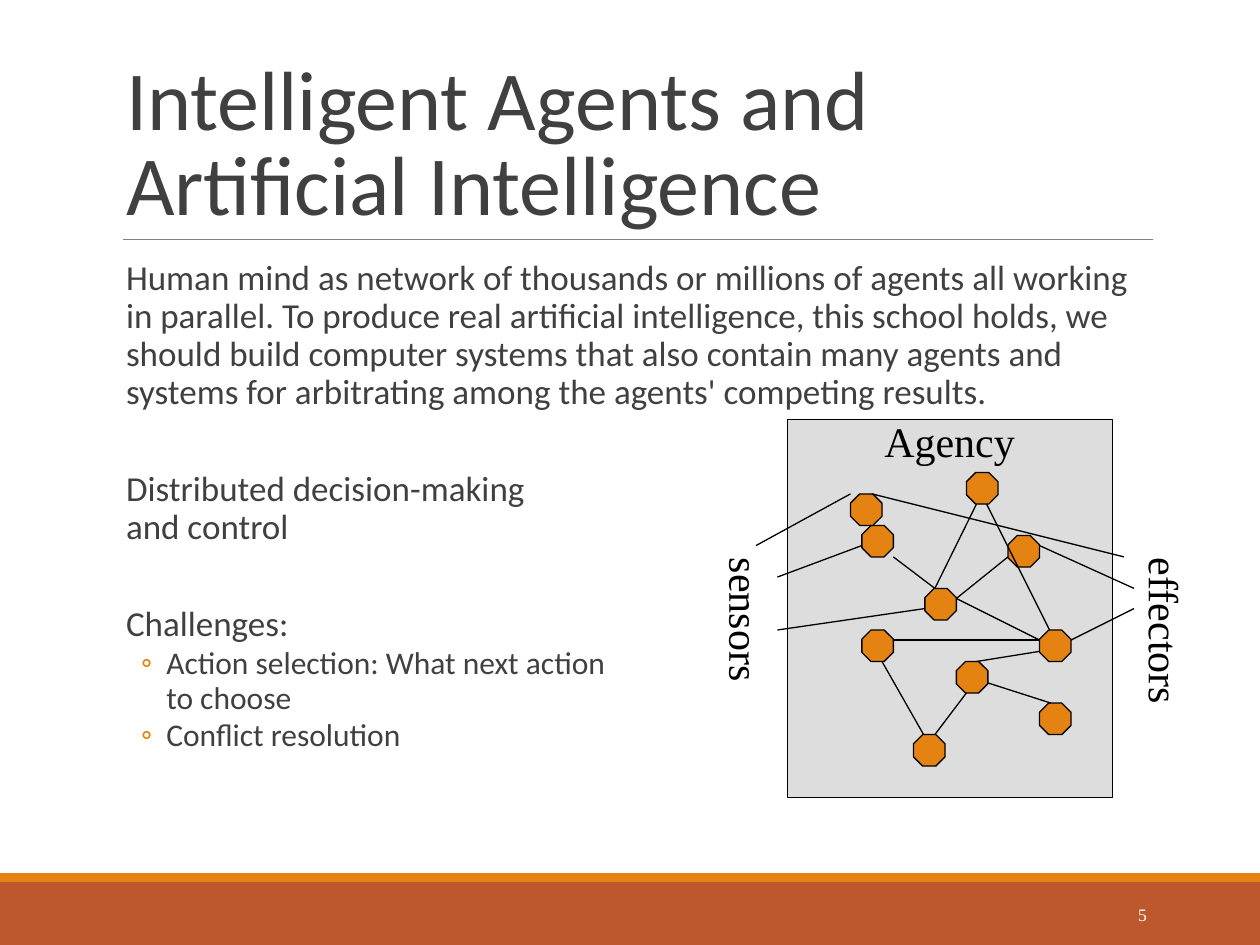
from dataclasses import dataclass

from lxml.etree import SubElement
from pptx import Presentation
from pptx.dml.color import RGBColor
from pptx.enum.shapes import MSO_CONNECTOR, MSO_SHAPE
from pptx.enum.text import MSO_ANCHOR, MSO_AUTO_SIZE, PP_ALIGN
from pptx.oxml.ns import qn
from pptx.util import Inches, Pt

COLORS = {
    "text": "404040",
    "black": "000000",
    "white": "FFFFFF",
    "panel": "DDDDDD",
    "orange": "E48312",
    "rust": "BD582C",
    "rule": "7F7F7F",
}
SANS, SERIF = "Calibri", "Times New Roman"
AGENT_SIZE = 0.25


@dataclass
class Label:
    text: str
    left: float
    top: float
    width: float
    height: float = 0.5
    rotation: int = 0
    size: int = 24
    color: str = "black"


@dataclass
class Link:
    x1: float
    y1: float
    x2: float
    y2: float


@dataclass
class BodyLine:
    text: str
    space_before: int
    size: int = 20
    bullet: bool = False


LABELS = [
    Label("sensors", 5.25, 4.75, 1.34, rotation=90),
    Label("effectors", 8.5, 4.83, 1.5, rotation=90),
    Label("Agency", 6.92, 3.25, 1.33),
]
PAGE_NUMBER = Label("5", 8.12, 7.06, 1.08, 0.4, size=10, color="white")

AGENTS = [
    (6.84, 4.17), (6.84, 5), (8, 4.25), (7.59, 5.25), (7.34, 4.67),
    (7.67, 3.75), (8.25, 5.58), (7.25, 5.83), (8.25, 5), (6.75, 3.92),
]
SENSOR_LINKS = [
    Link(6, 4.33, 6.75, 3.92),
    Link(6.17, 4.58, 6.84, 4.33),
    Link(6.17, 5, 7.34, 4.83),
]
AGENT_LINKS = [
    Link(7.09, 4.42, 7.42, 4.67),
    Link(7.75, 4, 7.42, 4.67),
    Link(7.42, 5.83, 7.67, 5.5),
    Link(7.59, 4.75, 8.25, 5.08),
    Link(7.75, 5.25, 8.25, 5.17),
    Link(7.09, 5.08, 8.25, 5.08),
    Link(7.59, 4.75, 8, 4.42),
    Link(7.83, 4, 8.33, 5),
    Link(8.34, 5.58, 7.84, 5.42),
    Link(7, 5.25, 7.33, 5.83),
]
EFFECTOR_LINKS = [
    Link(6.92, 3.92, 8.92, 4.42),
    Link(8.25, 4.33, 9, 4.67),
    Link(8.5, 5.08, 9, 4.83),
]
BODY = [
    BodyLine(
        "Human mind as network of thousands or millions of agents all working "
        "in parallel. To produce real artificial intelligence, this school holds, "
        "we should build computer systems that also contain many agents and "
        "systems for arbitrating among the agents' competing results.",
        12,
    ),
    BodyLine("Distributed decision-making \vand control", 34),
    BodyLine("Challenges:", 34),
    BodyLine("Action selection: What next action\vto choose", 2, 18, True),
    BodyLine("Conflict resolution", 2, 18, True),
]


def color(name: str) -> RGBColor:
    return RGBColor.from_string(COLORS[name])


def style_font(para, name: str, size: int, color_name: str) -> None:
    para.font.name = name
    para.font.size = Pt(size)
    para.font.color.rgb = color(color_name)


def place(shape, left: float, top: float, width: float, height: float) -> None:
    shape.left, shape.top = Inches(left), Inches(top)
    shape.width, shape.height = Inches(width), Inches(height)


def add_block(page, kind, left: float, top: float, width: float, height: float,
              fill: str, outlined: bool = False):
    shape = page.shapes.add_shape(
        kind, Inches(left), Inches(top), Inches(width), Inches(height))
    shape.shadow.inherit = False
    shape.fill.solid()
    shape.fill.fore_color.rgb = color(fill)
    if outlined:
        shape.line.color.rgb = color("black")
        shape.line.width = Pt(0.75)
    else:
        shape.line.fill.background()
    return shape


def add_link(page, link: Link, color_name: str = "black", width: float = 0.75) -> None:
    line = page.shapes.add_connector(
        MSO_CONNECTOR.STRAIGHT, Inches(link.x1), Inches(link.y1),
        Inches(link.x2), Inches(link.y2))
    line.line.color.rgb = color(color_name)
    line.line.width = Pt(width)
    SubElement(line._element.spPr, qn("a:effectLst"))


def add_label(page, label: Label):
    box = page.shapes.add_textbox(
        Inches(label.left), Inches(label.top),
        Inches(label.width), Inches(label.height))
    box.rotation = label.rotation
    box.text_frame.word_wrap = True
    para = box.text_frame.paragraphs[0]
    para.text = label.text
    style_font(para, SERIF, label.size, label.color)
    return box


def add_title(page) -> None:
    title = page.shapes.title
    place(title, 0.9, 0.31, 8.25, 1.59)
    frame = title.text_frame
    frame.text = "Intelligent Agents and Artificial Intelligence"
    frame.word_wrap = True
    frame.auto_size = MSO_AUTO_SIZE.NONE
    frame.vertical_anchor = MSO_ANCHOR.BOTTOM
    para = frame.paragraphs[0]
    para.alignment = PP_ALIGN.LEFT
    para.line_spacing = 0.85
    style_font(para, SANS, 48, "text")


def set_indent(para, bullet: bool) -> None:
    properties = para._p.get_or_add_pPr()
    properties.set("marL", str(Inches(0.42 if bullet else 0.1)))
    if bullet:
        properties.set("indent", str(Inches(-0.2)))
        bullet_color = SubElement(properties, qn("a:buClr"))
        SubElement(bullet_color, qn("a:srgbClr"), val=COLORS["orange"])
        SubElement(properties, qn("a:buFont"), typeface=SANS)
        SubElement(properties, qn("a:buChar"), char="◦")


def add_body(page) -> None:
    box = page.shapes.add_textbox(Inches(0.9), Inches(2.02), Inches(8.25), Inches(4.4))
    frame = box.text_frame
    frame.word_wrap = True
    frame.margin_left = frame.margin_right = 0
    for index, line in enumerate(BODY):
        para = frame.add_paragraph() if index else frame.paragraphs[0]
        para.text = line.text
        para.line_spacing = 0.9
        para.space_before = Pt(line.space_before)
        set_indent(para, line.bullet)
        style_font(para, SANS, line.size, "text")


def main() -> None:
    deck = Presentation()
    deck.slide_width, deck.slide_height = Inches(10), Inches(7.5)
    page = deck.slides.add_slide(deck.slide_layouts[5])

    add_block(page, MSO_SHAPE.RECTANGLE, 0, 7, 10, 0.5, "rust")
    add_block(page, MSO_SHAPE.RECTANGLE, 0, 6.93, 10, 0.07, "orange")
    add_link(page, Link(0.98, 1.9, 9.15, 1.9), "rule", 0.5)
    add_title(page)
    add_body(page)
    number = add_label(page, PAGE_NUMBER)
    number.text_frame.vertical_anchor = MSO_ANCHOR.MIDDLE
    number.text_frame.paragraphs[0].alignment = PP_ALIGN.RIGHT

    add_block(page, MSO_SHAPE.RECTANGLE, 6.25, 3.33, 2.58, 3, "panel", True)
    for left, top in AGENTS:
        add_block(page, MSO_SHAPE.OCTAGON, left, top, AGENT_SIZE, AGENT_SIZE, "orange", True)
    for label in LABELS:
        add_label(page, label)
    for link in SENSOR_LINKS + AGENT_LINKS + EFFECTOR_LINKS:
        add_link(page, link)

    deck.save("out.pptx")


if __name__ == "__main__":
    main()
